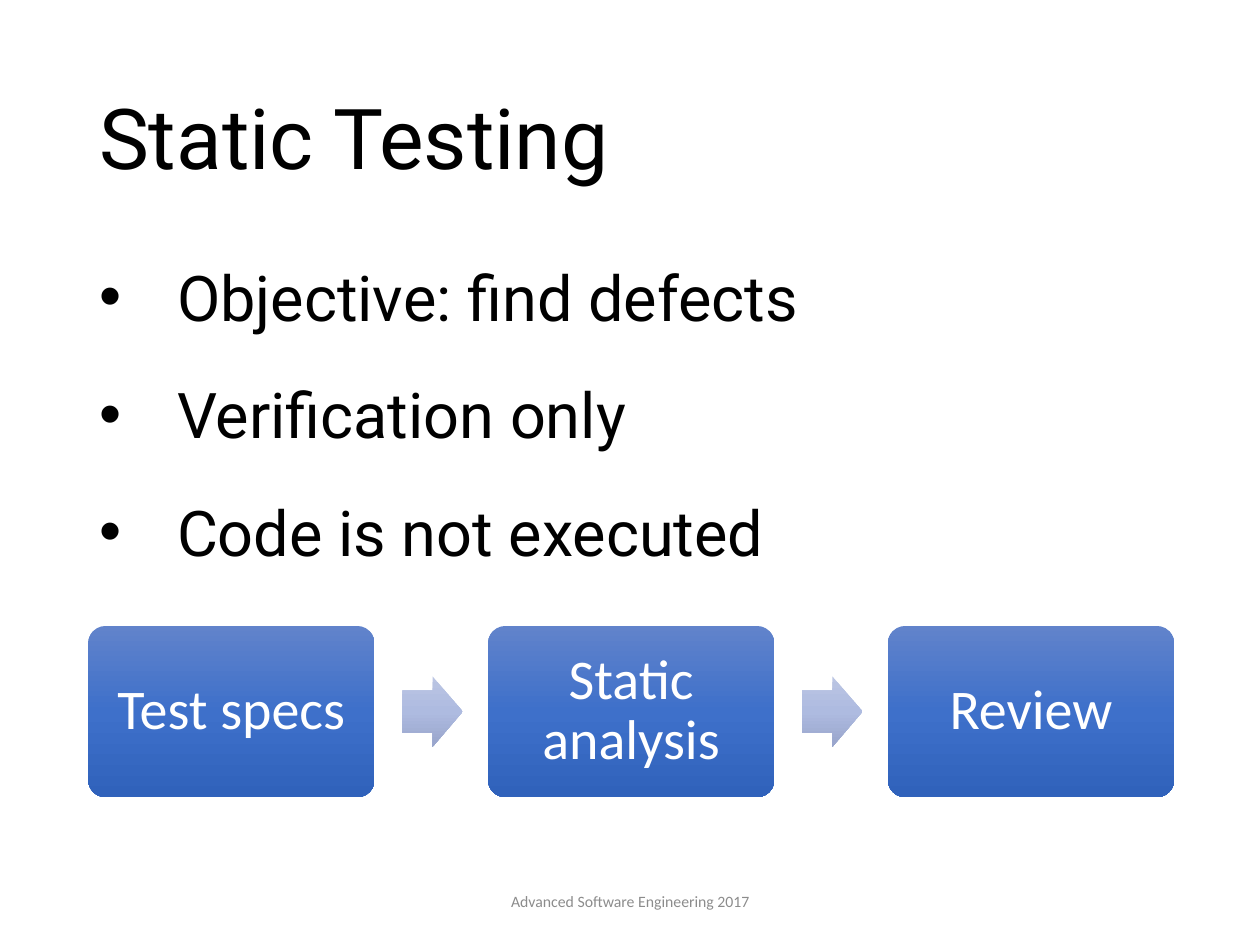
import copy

import pptx
import pptx.dml.color
import pptx.enum.shapes
import pptx.enum.text
import pptx.oxml
import pptx.oxml.ns
import pptx.util

Cm = pptx.util.Cm
Pt = pptx.util.Pt
Shapes = pptx.enum.shapes.MSO_SHAPE
Align = pptx.enum.text.PP_ALIGN
Anchor = pptx.enum.text.MSO_ANCHOR

BULLETS = ["Objective: find defects", "Verification only", "Code is not executed"]
STEPS = ["Test specs", "Static analysis", "Review"]
STEP_COLORS = ["6183CB", "3E70CA", "3062BB"]
ARROW_COLORS = ["BBC5E3", "AEBBE0", "98A4CB"]


def color(value):
    """Turn a hex string into a colour."""
    return pptx.dml.color.RGBColor.from_string(value)


def add_run(paragraph, text, size, font, hex_color):
    """Add one formatted run to a paragraph."""
    run = paragraph.add_run()
    run.text = text
    run.font.size = Pt(size)
    run.font.name = font
    run.font.color.rgb = color(hex_color)


def add_text_box(slide, left, top, width, height, anchor=Anchor.MIDDLE):
    """Add an empty wrapping text box and return its text frame."""
    shape = slide.shapes.add_textbox(Cm(left), Cm(top), Cm(width), Cm(height))
    frame = shape.text_frame
    frame.word_wrap = True
    frame.vertical_anchor = anchor
    return frame


def add_title(slide, text):
    """Add the slide title."""
    paragraph = add_text_box(slide, 1.75, 1.02, 21.9, 3.68).paragraphs[0]
    paragraph.line_spacing = 0.9
    add_run(paragraph, text, 48, "Roboto", "000000")


def add_bullets(slide, items):
    """Add the bulleted list with a hanging indent."""
    frame = add_text_box(slide, 1.75, 5.08, 21.9, 12.09, Anchor.TOP)
    for index, item in enumerate(items):
        paragraph = frame.paragraphs[0] if index == 0 else frame.add_paragraph()
        properties = paragraph._p.get_or_add_pPr()
        properties.set("marL", str(Cm(1.57)))
        properties.set("indent", str(-Cm(1.57)))
        namespace = pptx.oxml.ns.nsdecls("a")
        properties.append(pptx.oxml.parse_xml(f'<a:buFont {namespace} typeface="Arial"/>'))
        properties.append(pptx.oxml.parse_xml(f'<a:buChar {namespace} char="•"/>'))
        paragraph.space_before = Pt(12 if index else 0)
        paragraph.space_after = Pt(12)
        add_run(paragraph, item, 36, "Roboto", "000000")


def add_footer(slide, text):
    """Add the centred footer."""
    paragraph = add_text_box(slide, 8.41, 17.65, 8.59, 1.02).paragraphs[0]
    paragraph.alignment = Align.CENTER
    add_run(paragraph, text, 9, "Calibri", "8C8C8C")


def add_gradient_shape(slide, kind, left, top, width, height, adjustments, colors):
    """Add a borderless shape with a three-stop gradient running downwards."""
    shape = slide.shapes.add_shape(kind, Cm(left), Cm(top), Cm(width), Cm(height))
    shape.shadow.inherit = False
    shape.line.fill.background()
    for index, value in enumerate(adjustments):
        shape.adjustments[index] = value
    shape.fill.gradient()
    shape.fill.gradient_angle = 270
    stops = shape._element.spPr.find(".//" + pptx.oxml.ns.qn("a:gsLst"))
    stops.insert(1, copy.deepcopy(stops[0]))
    for stop, position, value in zip(shape.fill.gradient_stops, (0, 0.5, 1), colors):
        stop.position = position
        stop.color.rgb = color(value)
    return shape


def add_step(slide, left, top, width, height, text):
    """Add one labelled step of the process."""
    shape = add_gradient_shape(
        slide, Shapes.ROUNDED_RECTANGLE, left, top, width, height, [0.1], STEP_COLORS
    )
    frame = shape.text_frame
    frame.word_wrap = True
    frame.vertical_anchor = Anchor.MIDDLE
    frame.margin_left = frame.margin_right = Cm(0.43)
    frame.margin_top = frame.margin_bottom = Cm(0.43)
    paragraph = frame.paragraphs[0]
    paragraph.alignment = Align.CENTER
    paragraph.line_spacing = 0.9
    add_run(paragraph, text, 32, "Calibri", "FFFFFF")


def add_process(slide, steps):
    """Add the row of steps with an arrow between neighbours."""
    left, top, width, height, pitch = 1.78, 12.62, 5.77, 3.45, 8.06
    arrow_width, arrow_height, arrow_offset = 1.22, 1.42, 6.33
    for index, text in enumerate(steps):
        step_left = left + index * pitch
        add_step(slide, step_left, top, width, height, text)
        if index < len(steps) - 1:
            add_gradient_shape(
                slide, Shapes.RIGHT_ARROW, step_left + arrow_offset,
                top + (height - arrow_height) / 2, arrow_width, arrow_height,
                [0.6, 0.5], ARROW_COLORS,
            )


def main():
    """Build the slide and save it."""
    presentation = pptx.Presentation()
    presentation.slide_width = Cm(25.4)
    presentation.slide_height = Cm(19.05)
    slide = presentation.slides.add_slide(presentation.slide_layouts[6])
    add_title(slide, "Static Testing")
    add_bullets(slide, BULLETS)
    add_footer(slide, "Advanced Software Engineering 2017")
    add_process(slide, STEPS)
    presentation.save("out.pptx")


if __name__ == "__main__":
    main()
